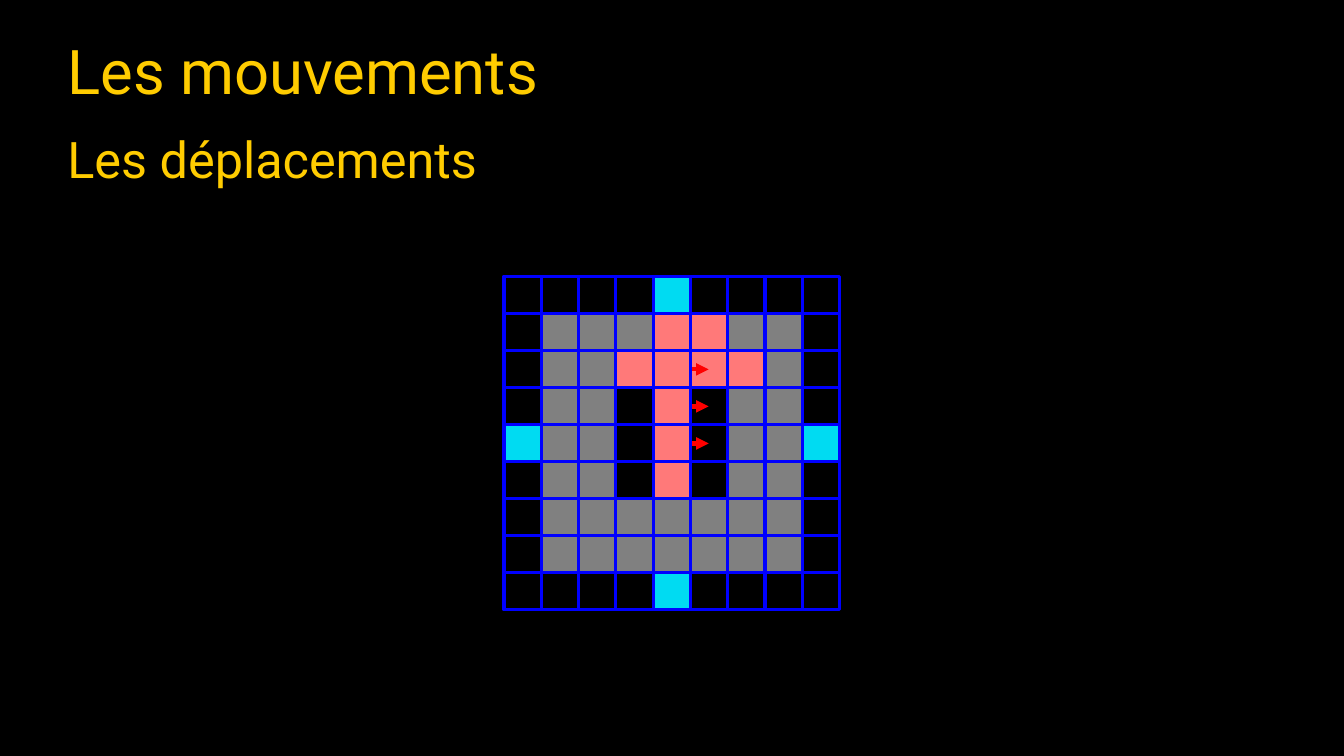
from lxml import etree
from pptx import Presentation
from pptx.dml.color import RGBColor
from pptx.enum.shapes import MSO_CONNECTOR, MSO_SHAPE
from pptx.enum.text import MSO_ANCHOR
from pptx.oxml.ns import qn
from pptx.util import Pt

RECT = MSO_SHAPE.RECTANGLE
LINE = MSO_CONNECTOR.STRAIGHT
MIDDLE = MSO_ANCHOR.MIDDLE

BLACK = RGBColor(0x00, 0x00, 0x00)
GOLD = RGBColor(0xFF, 0xCC, 0x00)
BLUE = RGBColor(0x00, 0x00, 0xFF)
RED = RGBColor(0xFF, 0x00, 0x00)
GREY = RGBColor(0x80, 0x80, 0x80)
CYAN = RGBColor(0x00, 0xDB, 0xF2)
PINK = RGBColor(0xFF, 0x79, 0x79)

FILLS = {"G": GREY, "C": CYAN, "P": PINK}
BOARD = [
    "....C....",
    ".GGGPPGG.",
    ".GGPPPPG.",
    ".GG.P.GG.",
    "CGG.P.GGC",
    ".GG.P.GG.",
    ".GGGGGGG.",
    ".GGGGGGG.",
    "....C....",
]
LEFT, TOP = 360, 197.3
CELL, STEP = 26.64, 26.46

deck = Presentation()
deck.slide_width, deck.slide_height = Pt(960), Pt(540)
slide = deck.slides.add_slide(deck.slide_layouts[6])
back = slide.background.fill
back.solid()
back.fore_color.rgb = BLACK

for text, top, size in [("Les mouvements", 22.3, 44), ("Les déplacements", 85, 36)]:
    box = slide.shapes.add_textbox(Pt(41), Pt(top), Pt(747.4), Pt(62))
    frame = box.text_frame
    frame.word_wrap = True
    frame.vertical_anchor = MIDDLE
    para = frame.paragraphs[0]
    para.line_spacing = 0.9
    run = para.add_run()
    run.text = text
    run.font.name = "Roboto"
    run.font.size = Pt(size)
    run.font.color.rgb = GOLD

for col in reversed(range(9)):
    for row, marks in enumerate(BOARD):
        cell = slide.shapes.add_shape(
            RECT, Pt(LEFT + col * CELL), Pt(TOP + row * STEP), Pt(CELL), Pt(CELL))
        cell.shadow.inherit = False
        cell.line.color.rgb = BLUE
        cell.line.width = Pt(2.25)
        if marks[col] in FILLS:
            cell.fill.solid()
            cell.fill.fore_color.rgb = FILLS[marks[col]]
        else:
            cell.fill.background()
    if col == 5:
        for row in (2, 3, 4):
            mid = TOP + (row + 0.5) * STEP + 0.4
            arrow = slide.shapes.add_connector(LINE, Pt(491.8), Pt(mid), Pt(506.2), Pt(mid))
            arrow.line.color.rgb = RED
            arrow.line.width = Pt(3)
            etree.SubElement(arrow.line._get_or_add_ln(), qn("a:tailEnd"), type="triangle")
            etree.SubElement(arrow._element.spPr, qn("a:effectLst"))

deck.save("out.pptx")
